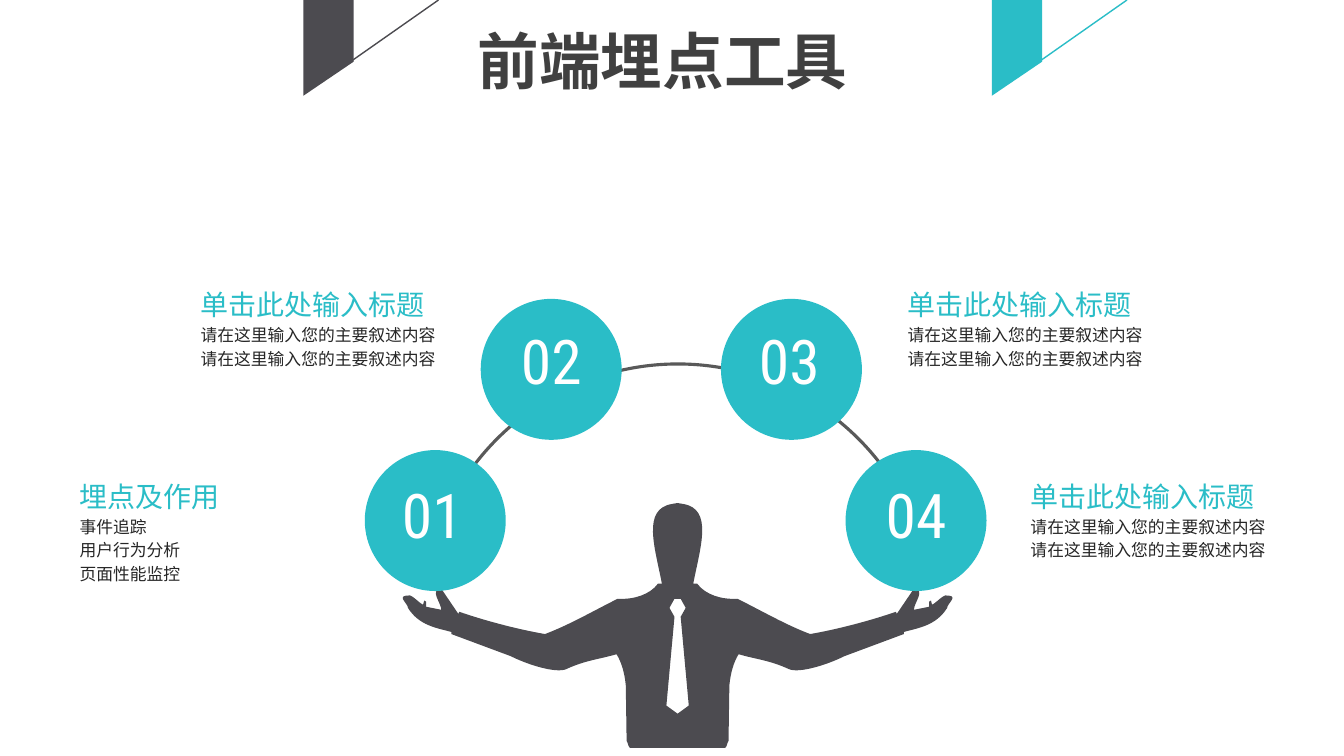
from lxml import etree
from pptx import Presentation
from pptx.dml.color import RGBColor
from pptx.enum import shapes as kinds, text as t
from pptx.oxml import ns
from pptx.util import Pt

COLORS = {"dark": "4C4B50", "teal": "2ABDC7", "title": "404040",
          "arc": "595959", "body": "262626", "white": "FFFFFF"}
CJK = "Noto Sans CJK SC"
CENTRE = 484


def write(box, lines, size, color, font=CJK, bold=False, align=t.PP_ALIGN.LEFT,
          wrap=True, spacing=None):
    """Append lines of one format to the text of a box."""
    frame = box.text_frame
    frame.word_wrap = wrap
    frame.auto_size = t.MSO_AUTO_SIZE.SHAPE_TO_FIT_TEXT
    frame.vertical_anchor = t.MSO_ANCHOR.TOP
    for line in lines:
        para = frame.add_paragraph() if frame.text else frame.paragraphs[0]
        para.alignment = align
        if spacing:
            para.line_spacing = Pt(spacing)
        span = para.add_run()
        span.text = line
        span.font.size, span.font.bold, span.font.name = Pt(size), bold, font
        span.font.color.rgb = RGBColor.from_string(COLORS[color])
        east_asian = etree.SubElement(span.font._element, ns.qn("a:ea"))
        east_asian.set("typeface", font)


def draw_outline(page, contours, color):
    """Fill closed contours given as lists of points."""
    first, *others = [[(Pt(x), Pt(y)) for x, y in c] for c in contours]
    builder = page.shapes.build_freeform(*first[0], scale=1.0)
    builder.add_line_segments(first[1:], close=True)
    for contour in others:
        builder.move_to(*contour[0])
        builder.add_line_segments(contour[1:], close=True)
    shape = builder.convert_to_shape()
    shape.shadow.inherit = False
    shape.fill.solid()
    shape.fill.fore_color.rgb = RGBColor.from_string(COLORS[color])
    shape.line.fill.background()
    return shape


deck = Presentation()
deck.slide_width, deck.slide_height = Pt(960), Pt(540)
page = deck.slides.add_slide(deck.slide_layouts[5])

# Corner banners, each with a slanting line
for left, color in ((216.7, "dark"), (708.5, "teal")):
    draw_outline(page, [[(left, 0), (left + 36, 0), (left + 36, 44), (left, 68.4)]], color)
    slant = page.shapes.add_connector(kinds.MSO_CONNECTOR.STRAIGHT, Pt(left + 23.5),
                                      Pt(51.2), Pt(left + 96.5), Pt(0))
    slant.line.color.rgb = RGBColor.from_string(COLORS[color])
    slant.line.width = Pt(1)
    etree.SubElement(slant._element.spPr, ns.qn("a:effectLst"))

# Title
title = page.shapes.title
title.left, title.top, title.width, title.height = Pt(332.6), Pt(12.8), Pt(281.5), Pt(60.5)
write(title, ["前端埋点工具"], 44, "title", bold=True, align=t.PP_ALIGN.CENTER, wrap=False)

# Arc linking the four circles
arc = page.shapes.add_shape(kinds.MSO_SHAPE.ARC, Pt(301.7), Pt(260), Pt(365), Pt(365))
arc.adjustments[0], arc.adjustments[1] = 113.296, 210.023
arc.shadow.inherit = False
arc.fill.background()
arc.line.color.rgb = RGBColor.from_string(COLORS["arc"])
arc.line.width = Pt(2.25)

# Right half of the figure, x from its centre: 2 numbers a corner, 6 a Bézier curve
half_figure = [
    (0, 359.3), (4, 360), (25.6, 363.6, 16.2, 391, 11.2, 416.9),  # head
    (14, 416.9), (19.8, 424.8, 31.3, 428.4, 42.8, 427.7),  # shoulder
    (60, 436.3, 77.4, 446.4, 94.7, 452.9), (115.6, 449.3, 139.3, 442.8, 156, 437),
    (156.6, 438.5), (168.8, 420.5), (177.5, 421.2, 168.8, 430.6, 168.8, 435.6),  # hand
    (179.6, 433.4), (179.6, 429.8), (181, 429), (181.8, 432),
    (186, 429.8, 190.4, 423.4, 194, 425.5), (200, 426.2, 192.6, 431.3, 192.6, 434.2),
    (184.7, 447, 171.7, 448.6, 161.6, 451.4), (161.6, 452.9),
    (119.2, 468.7), (106.2, 475.2, 86.8, 481, 79.6, 478),  # sleeve
    (65.9, 471.6, 55.8, 470.9, 43.6, 467.3), (40, 473, 37.8, 481, 37, 489.6),  # waist
    (36.4, 529.2), (35, 530.6, 35.6, 535.7, 32, 534.2), (0, 534.2)]
half_tie = [(0, 427.7), (2.2, 427.7), (5.8, 434.2), (2.2, 440.6), (8, 504), (0, 509.8)]

points, curve_starts = [], []
for step in half_figure:
    if len(step) == 6:
        curve_starts.append(len(points))
    points += zip(step[::2], step[1::2])
last = len(points) - 1
curve_starts += [2 * last - start - 1 for start in curve_starts]

contours = [[(CENTRE + x, y) for x, y in half] + [(CENTRE - x, y) for x, y in half[-2:0:-1]]
            for half in (points, half_tie)]
figure = draw_outline(page, contours, "dark")

# Join each run of two control points and an end point into one curve
segments = list(figure._element.iter(ns.qn("a:lnTo")))
for start in curve_starts:
    curve, *rest = segments[start - 1:start + 2]
    curve.tag = ns.qn("a:cubicBezTo")
    for segment in rest:
        curve.append(segment[0])
        segment.getparent().remove(segment)

# Numbered circles: circle left and top, number left and top
circles = {"02": (343.4, 213.5, 360, 226.8), "01": (260.6, 321.5, 275, 337),
           "03": (515, 213.5, 530, 226.8), "04": (604, 321.5, 620.6, 337)}
for number, (left, top, text_left, text_top) in circles.items():
    circle = page.shapes.add_shape(kinds.MSO_SHAPE.OVAL, Pt(left), Pt(top),
                                   Pt(100.7), Pt(100.7))
    circle.shadow.inherit = False
    circle.fill.solid()
    circle.fill.fore_color.rgb = RGBColor.from_string(COLORS["teal"])
    circle.line.fill.background()
    box = page.shapes.add_textbox(Pt(text_left), Pt(text_top), Pt(67.7), Pt(60.5))
    write(box, [number], 44, "white", font="Roboto Condensed", align=t.PP_ALIGN.CENTER)

# Captions beside the circles
heading, detail = "单击此处输入标题", ["请在这里输入您的主要叙述内容"] * 2
captions = [(49.8, 337.8, "埋点及作用", ["事件追踪", "用户行为分析", "页面性能监控"]),
            (136.2, 201, heading, detail), (641.2, 201, heading, detail),
            (729, 337.8, heading, detail)]
for left, top, head, lines in captions:
    box = page.shapes.add_textbox(Pt(left), Pt(top), Pt(211.7), Pt(32.4 + 16.8 * len(lines)))
    write(box, [head], 20, "teal", spacing=25)
    write(box, lines, 12, "body", spacing=16.8)

deck.save("out.pptx")
